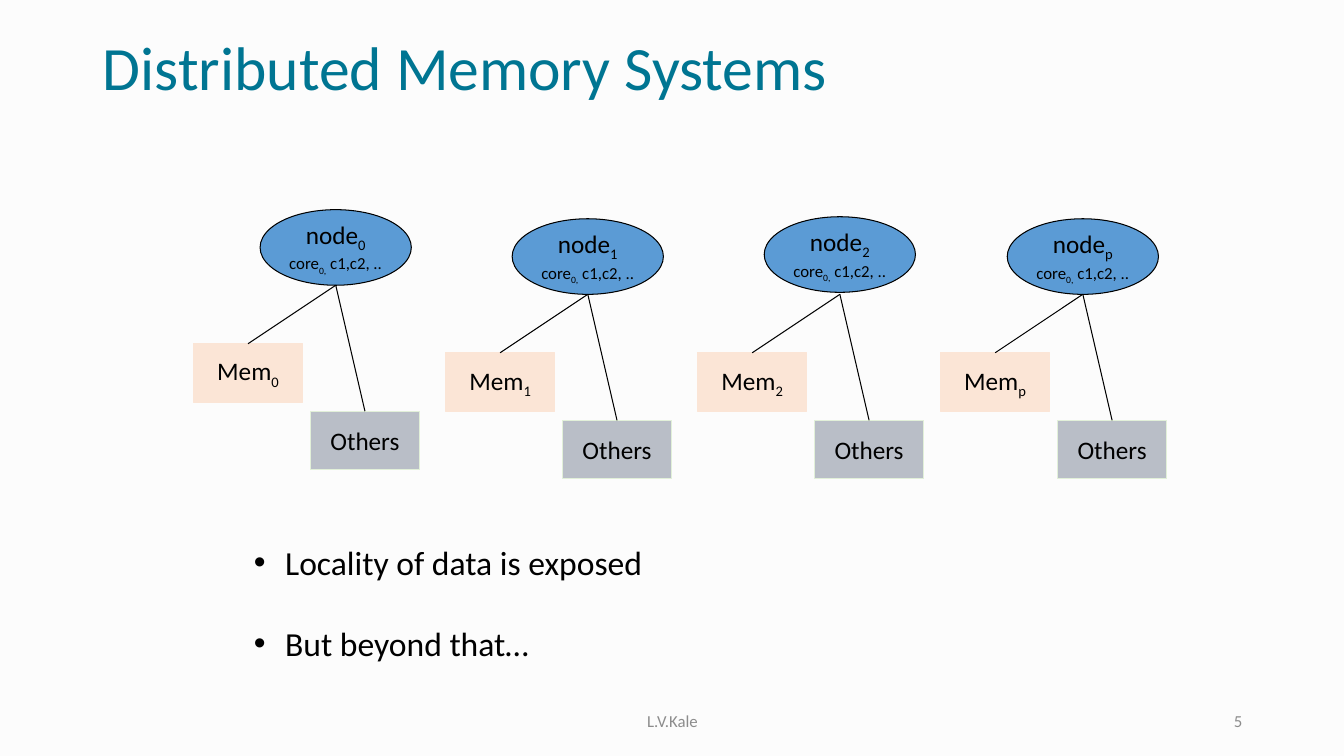
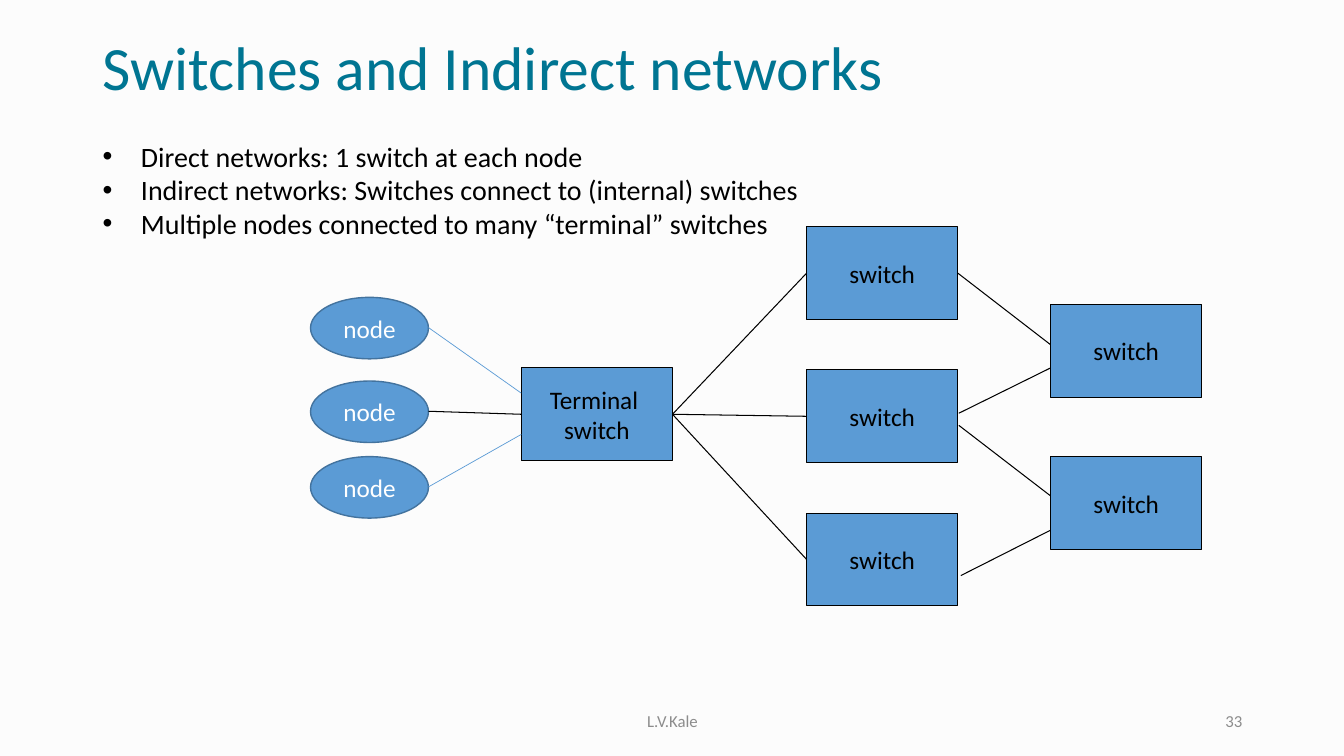
from dataclasses import dataclass
from typing import NamedTuple

from lxml import etree
from pptx import Presentation
from pptx.dml.color import RGBColor
from pptx.enum import shapes, text
from pptx.oxml import ns
from pptx.shapes.autoshape import Shape
from pptx.slide import Slide
from pptx.text.text import TextFrame
from pptx.util import Inches, Pt

PAPER = RGBColor(0xFC, 0xFC, 0xFC)
TEAL = RGBColor(0x00, 0x75, 0x92)
GRAY = RGBColor(0x8C, 0x8C, 0x8C)
BLACK = RGBColor(0x00, 0x00, 0x00)
WHITE = RGBColor(0xFF, 0xFF, 0xFF)
BLUE = RGBColor(0x5B, 0x9B, 0xD5)
NAVY = RGBColor(0x43, 0x73, 0x9E)
PEACH = RGBColor(0xFB, 0xE5, 0xD6)
SLATE = RGBColor(0xB9, 0xBE, 0xC7)
MINT = RGBColor(0xE2, 0xF0, 0xD9)
FONT = "Calibri"

OVAL = shapes.MSO_SHAPE.OVAL
RECT = shapes.MSO_SHAPE.RECTANGLE
LEFT = text.PP_ALIGN.LEFT
MID = text.PP_ALIGN.CENTER
RIGHT = text.PP_ALIGN.RIGHT
MIDDLE = text.MSO_ANCHOR.MIDDLE


class Point(NamedTuple):
    x: float
    y: float


class Area(NamedTuple):
    x: float
    y: float
    w: float
    h: float

    def lengths(self) -> list[Inches]:
        return [Inches(v) for v in self]


class Port(NamedTuple):
    """Middle of a rectangle's side: 0 top, 1 left, 2 bottom, 3 right."""
    shape: Shape
    side: int


@dataclass(frozen=True)
class Bit:
    words: str
    size: float = 18
    ink: RGBColor = BLACK
    sub: bool = False


@dataclass(frozen=True)
class Look:
    form: shapes.MSO_SHAPE
    fill: RGBColor
    edge: RGBColor
    width: float = 0.75


@dataclass(frozen=True)
class Unit:
    """One machine: a node oval above its memory and other parts."""
    tag: str
    x: float
    top: float
    base: float


CORE = Look(OVAL, BLUE, BLACK)
MEM = Look(RECT, PEACH, PEACH)
OTHER = Look(RECT, SLATE, MINT)
SWITCH = Look(RECT, BLUE, BLACK)
NODE = Look(OVAL, BLUE, NAVY, 1)

UNITS = [
    Unit("0", 1.92, 2.08, 2.08),
    Unit("1", 4.42, 2.17, 2.17),
    Unit("2", 6.92, 2.15, 2.17),
    Unit("p", 9.33, 2.17, 2.17),
]


def write(frame: TextFrame, rows: list[list[Bit]], align: text.PP_ALIGN) -> None:
    for i, row in enumerate(rows):
        para = frame.paragraphs[0] if i == 0 else frame.add_paragraph()
        para.alignment = align
        for bit in row:
            run = para.add_run()
            run.text = bit.words
            run.font.name = FONT
            run.font.size = Pt(bit.size)
            run.font.color.rgb = bit.ink
            if bit.sub:
                run._r.get_or_add_rPr().set("baseline", "-25000")


def add_label(slide: Slide, area: Area, words: str, align: text.PP_ALIGN) -> None:
    frame = slide.shapes.add_textbox(*area.lengths()).text_frame
    frame.word_wrap = True
    frame.vertical_anchor = MIDDLE
    write(frame, [[Bit(words, 12, GRAY)]], align)


def add_list(slide: Slide, area: Area, items: list[str], size: float,
             indent: float, gap: float = 0) -> None:
    frame = slide.shapes.add_textbox(*area.lengths()).text_frame
    frame.word_wrap = True
    write(frame, [[Bit(item, size)] for item in items], LEFT)
    for i, para in enumerate(frame.paragraphs):
        para.space_before = Pt(gap if i else 0)
        props = para._p.get_or_add_pPr()
        props.set("marL", str(Inches(indent)))
        props.set("indent", str(-Inches(indent)))
        etree.SubElement(props, ns.qn("a:buFont")).set("typeface", "Arial")
        etree.SubElement(props, ns.qn("a:buChar")).set("char", "•")


def add_box(slide: Slide, area: Area, look: Look, rows: list[list[Bit]]) -> Shape:
    box = slide.shapes.add_shape(look.form, *area.lengths())
    box.shadow.inherit = False
    box.fill.solid()
    box.fill.fore_color.rgb = look.fill
    box.line.color.rgb = look.edge
    box.line.width = Pt(look.width)
    box.text_frame.word_wrap = False
    box.text_frame.vertical_anchor = MIDDLE
    write(box.text_frame, rows, MID)
    return box


def add_line(slide: Slide, start: Point | Port, end: Point | Port,
             ink: RGBColor = BLACK, width: float = 0.75) -> None:
    first, last = (p if isinstance(p, Point) else Point(0, 0) for p in (start, end))
    line = slide.shapes.add_connector(
        shapes.MSO_CONNECTOR.STRAIGHT, Inches(first.x), Inches(first.y),
        Inches(last.x), Inches(last.y))
    if isinstance(start, Port):
        line.begin_connect(*start)
    if isinstance(end, Port):
        line.end_connect(*end)
    line.line.color.rgb = ink
    line.line.width = Pt(width)
    etree.SubElement(line._element.spPr, ns.qn("a:effectLst"))


def add_page(deck: Presentation, title: str, number: int) -> Slide:
    slide = deck.slides.add_slide(deck.slide_layouts[5])
    head = slide.shapes.title
    head.left, head.top, head.width, head.height = Area(0.92, 0.28, 11.5, 0.84).lengths()
    head.text_frame.vertical_anchor = MIDDLE
    write(head.text_frame, [[Bit(title, 44, TEAL)]], LEFT)
    head.text_frame.paragraphs[0].line_spacing = 0.9
    add_label(slide, Area(4.42, 6.95, 4.5, 0.4), "L.V.Kale", MID)
    add_label(slide, Area(9.42, 6.95, 3, 0.4), str(number), RIGHT)
    return slide


def add_unit(slide: Slide, unit: Unit) -> None:
    tag = Bit(unit.tag, sub=True)
    core = [Bit("core", 12), Bit("0,", 12, sub=True), Bit(" c1,c2, ..", 12)]
    add_box(slide, Area(unit.x + 0.66, unit.top, 1.5, 0.75), CORE,
            [[Bit("node"), tag], core])
    mem = add_box(slide, Area(unit.x, unit.base + 1.33, 1.08, 0.58), MEM,
                  [[Bit("Mem"), tag]])
    other = add_box(slide, Area(unit.x + 1.16, unit.base + 2, 1.08, 0.58), OTHER,
                    [[Bit("Others")]])
    foot = Point(unit.x + 1.41, unit.base + 0.75)
    for part in (mem, other):
        add_line(slide, foot, Port(part, 0))


def add_switch(slide: Slide, x: float, y: float, *rows: str) -> Shape:
    return add_box(slide, Area(x, y, 1.5, 0.92), SWITCH, [[Bit(row)] for row in rows])


def build_memory(deck: Presentation) -> None:
    slide = add_page(deck, "Distributed Memory Systems", 5)
    for unit in UNITS:
        add_unit(slide, unit)
    add_list(slide, Area(2.42, 5.33, 8.42, 1.31),
             ["Locality of data is exposed", "But beyond that…"], 24, 0.31, 29)


def build_network(deck: Presentation) -> None:
    slide = add_page(deck, "Switches and Indirect networks", 33)
    add_list(slide, Area(0.92, 1.33, 7.42, 1.11), [
        "Direct networks: 1 switch at each node",
        "Indirect networks: Switches connect to (internal) switches",
        "Multiple nodes connected to many “terminal” switches",
    ], 20, 0.38)

    hub = add_switch(slide, 5.17, 3.65, "Terminal ", "switch")
    inner = [add_switch(slide, 8, 2.25 + 1.42 * i, "switch") for i in range(3)]
    for y in (3.02, 4.53):
        add_switch(slide, 10.42, y, "switch")

    for y in (2.95, 3.78, 4.53):
        add_box(slide, Area(3.08, y, 1.17, 0.61), NODE, [[Bit("node", ink=WHITE)]])
    add_line(slide, Point(4.25, 3.25), Point(5.17, 3.9), BLUE, 0.5)
    add_line(slide, Point(4.25, 4.08), Port(hub, 1))
    add_line(slide, Point(4.25, 4.83), Point(5.17, 4.31), BLUE, 0.5)

    for switch in inner:
        add_line(slide, Port(hub, 3), Port(switch, 1))
    add_line(slide, Port(inner[0], 3), Point(10.42, 3.42))
    add_line(slide, Point(9.51, 4.1), Point(10.42, 3.65))
    add_line(slide, Point(9.51, 4.22), Point(10.42, 4.92))
    add_line(slide, Point(9.53, 5.71), Point(10.42, 5.26))


def main() -> None:
    deck = Presentation()
    deck.slide_width, deck.slide_height = Inches(13.33), Inches(7.5)
    back = deck.slide_master.background.fill
    back.solid()
    back.fore_color.rgb = PAPER
    build_memory(deck)
    build_network(deck)
    deck.save("out.pptx")


if __name__ == "__main__":
    main()
